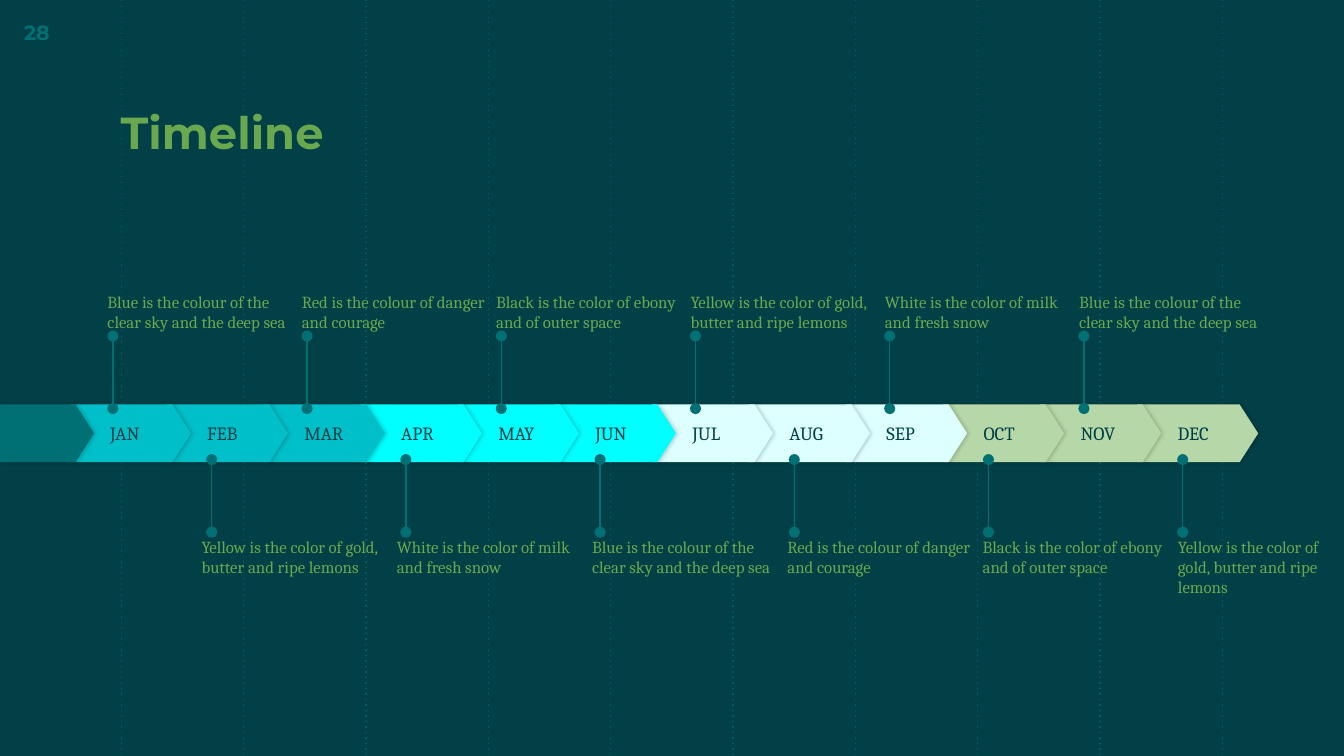
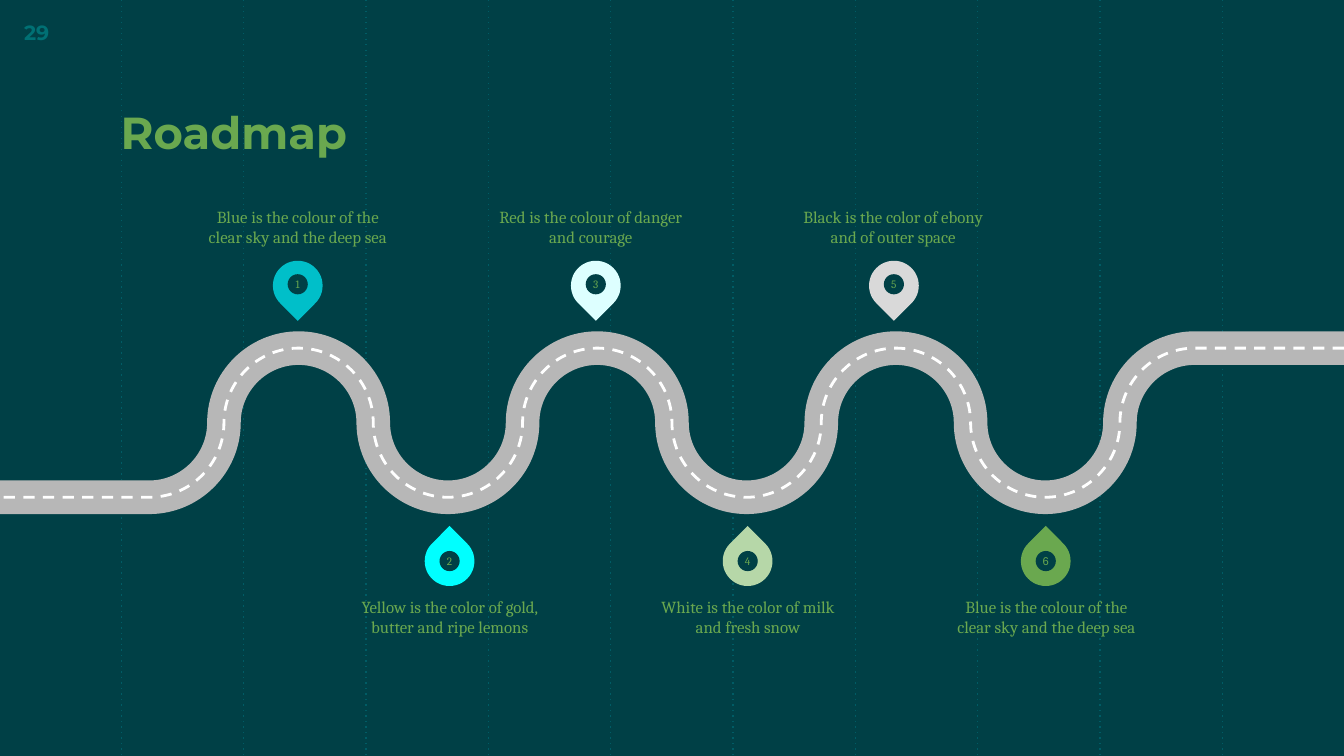
from dataclasses import dataclass

from lxml.etree import SubElement
from pptx import Presentation
from pptx.dml.color import RGBColor
from pptx.enum.shapes import MSO_CONNECTOR, MSO_SHAPE
from pptx.enum.text import MSO_ANCHOR, PP_ALIGN
from pptx.oxml.ns import qn
from pptx.util import Inches, Pt

W, H = Inches(10), Inches(5.625)
COLS, ROWS = 100, 56.25
UNIT = W / COLS
C = {
    "bg": "004046", "grid": "005C65", "teal": "007074", "green": "6AA84F",
    "sea": "00BFC9", "cyan": "00FFFF", "ice": "DDFFFF", "sage": "B6D7A8",
    "silver": "D9D9D9", "road": "B7B7B7", "white": "FFFFFF", "black": "000000",
}
HEAD, BODY = "Montserrat", "Cambria"
BLUE = "Blue is the colour of the clear sky and the deep sea"
RED = "Red is the colour of danger and courage"
BLACK = "Black is the color of ebony and of outer space"
YELLOW = "Yellow is the color of gold, butter and ripe lemons"
WHITE = "White is the color of milk and fresh snow"
MONTHS = ["JAN", "FEB", "MAR", "APR", "MAY", "JUN",
          "JUL", "AUG", "SEP", "OCT", "NOV", "DEC"]
QUARTERS = ["sea", "cyan", "ice", "sage"]
EVENTS_ABOVE = [BLUE, RED, BLACK, YELLOW, WHITE, BLUE]
EVENTS_BELOW = [YELLOW, WHITE, BLUE, RED, BLACK, YELLOW]
STOPS_ABOVE = [("1", "sea", BODY, BLUE, 15.1), ("3", "ice", BODY, RED, 36.9),
               ("5", "silver", BODY, BLACK, 59.4)]
STOPS_BELOW = [("2", "cyan", BODY, YELLOW, 26.4), ("4", "sage", BODY, WHITE, 48.6),
               ("6", "green", "Arial", BLUE, 70.8)]


@dataclass
class Box:
    x: float
    y: float
    w: float
    h: float

    def sub(self, x, y, w, h):
        return Box(self.x + x, self.y + y, w, h)

    def emu(self):
        return [round(v * UNIT) for v in (self.x, self.y, self.w, self.h)]


def rgb(name):
    return RGBColor.from_string(C[name])


def write(sp, text, size, color, font=BODY, bold=False, align=PP_ALIGN.LEFT,
          anchor=MSO_ANCHOR.TOP, insets=(0, 0, 0, 0)):
    tf = sp.text_frame
    tf.word_wrap = True
    tf.vertical_anchor = anchor
    tf.margin_left, tf.margin_top, tf.margin_right, tf.margin_bottom = map(Inches, insets)
    p = tf.paragraphs[0]
    p.text = text
    p.alignment = align
    p.font.size, p.font.name, p.font.bold = Pt(size), font, bold
    p.font.color.rgb = rgb(color)


def add_text(shapes, box, *args, **style):
    write(shapes.add_textbox(*box.emu()), *args, **style)


def add_filled(shapes, kind, box, color):
    sp = shapes.add_shape(kind, *box.emu())
    sp.shadow.inherit = False
    sp.fill.solid()
    sp.fill.fore_color.rgb = rgb(color)
    sp.line.fill.background()
    return sp


def style_line(sp, color, width, dash=None, ends=None):
    sp.line.color.rgb = rgb(color)
    sp.line.width = Pt(width)
    ln = sp._element.spPr.find(qn("a:ln"))
    if dash:
        SubElement(ln, qn("a:prstDash"), val=dash)
    if ends:
        for tag in ("a:headEnd", "a:tailEnd"):
            SubElement(ln, qn(tag), type=ends)


def add_line(shapes, x, y1, y2, color, **style):
    ends = [round(v * UNIT) for v in (x, y1, x, y2)]
    sp = shapes.add_connector(MSO_CONNECTOR.STRAIGHT, *ends)
    style_line(sp, color, 0.75, **style)
    SubElement(sp._element.spPr, qn("a:effectLst"))


def cast_shadow(sp):
    effects = sp._element.spPr.find(qn("a:effectLst"))
    shadow = SubElement(effects, qn("a:outerShdw"), blurRad=str(Pt(2.2)),
                        dist=str(Pt(0.8)), dir="0", algn="bl", rotWithShape="0")
    tint = SubElement(shadow, qn("a:srgbClr"), val=C["black"])
    SubElement(tint, qn("a:alpha"), val="20000")


def base_slide(prs, title, number):
    s = prs.slides.add_slide(prs.slide_layouts[6])
    for i in range(10):
        add_line(s.shapes, 9.04 + 9.1 * i, 0, ROWS, "grid", dash="dot")
    add_text(s.shapes, Box(8, 5.2, 64.7, 7.6), title, 24, "green", font=HEAD, bold=True,
             anchor=MSO_ANCHOR.BOTTOM, insets=(0.1, 0.1, 0.1, 0.1))
    add_text(s.shapes, Box(1.8, 1, 6, 2.8), number, 11, "teal", font=HEAD, bold=True,
             anchor=MSO_ANCHOR.MIDDLE)
    return s


def month_band(s, box):
    def arrow(x, w, color):
        sp = add_filled(s.shapes, MSO_SHAPE.PENTAGON, box.sub(x, 0, w, box.h), color)
        sp.adjustments[0] = 0.32
        cast_shadow(sp)
        return sp

    for i, month in reversed(list(enumerate(MONTHS))):
        sp = arrow(5.2 + 7.22 * i, 9, QUARTERS[i // 3])
        write(sp, month, 10, "bg", anchor=MSO_ANCHOR.MIDDLE, insets=(0.3, 0, 0, 0))
    arrow(0, 7, "teal")


def event_row(s, box, events, label_x, label_step, pin_x, pin_y, label_y, anchor):
    for i, event in enumerate(events):
        x = pin_x + 14.45 * i
        add_line(s.shapes, box.x + x, box.y + pin_y, box.y + pin_y + 5.4, "teal", ends="oval")
        left = label_x + label_step * i
        label = box.sub(left, label_y, min(13.7, box.w - left), 5.8)
        add_text(s.shapes, label, event, 9, "green", anchor=anchor)


def timeline(s, box):
    month_band(s, box.sub(0, 11.2, box.w, 4.3))
    event_row(s, box, EVENTS_ABOVE, 8, 14.46, 8.4, 6.1, 0, MSO_ANCHOR.BOTTOM)
    event_row(s, box, EVENTS_BELOW, 15, 14.53, 15.75, 15.3, 21, MSO_ANCHOR.TOP)


def curve_bends(sp):
    pts = sp._element.findall(".//" + qn("a:pt"))
    xy = [(int(pt.get("x")), int(pt.get("y"))) for pt in pts]
    for i in range(2, len(pts) - 1):
        (x1, y1), (x2, y2) = xy[i - 1], xy[i]
        corner = (x2, y1) if i % 2 == 0 else (x1, y2)
        seg = pts[i].getparent()
        seg.tag = qn("a:cubicBezTo")
        seg.remove(pts[i])
        for x, y in ((x1, y1), (x2, y2)):
            SubElement(seg, qn("a:pt"), x=str(round(x + 0.55 * (corner[0] - x))),
                       y=str(round(y + 0.55 * (corner[1] - y))))
        seg.append(pts[i])


def road(s, box, color, width, dash=None):
    step, rise = box.w / 18, box.h / 2
    levels = [0, 1, 2, 1]
    nodes = [(18, 0)] + [(16 - i, levels[i % 4]) for i in range(15)] + [(0, 2)]
    pts = [(round((box.x + n * step) * UNIT), round((box.y + v * rise) * UNIT))
           for n, v in nodes]
    fb = s.shapes.build_freeform(*pts[0], scale=1.0)
    fb.add_line_segments(pts[1:], close=False)
    sp = fb.convert_to_shape()
    curve_bends(sp)
    sp.shadow.inherit = False
    sp.fill.background()
    style_line(sp, color, width, dash=dash)


def stop_row(s, box, stops, pin_x, pin_y, turn, dot_y, label_y, anchor):
    for i, (number, color, font, label, label_x) in enumerate(stops):
        pin = box.sub(pin_x + 22.18 * i, pin_y, 3.7, 3.7)
        group = s.shapes.add_group_shape()
        drop = add_filled(group.shapes, MSO_SHAPE.TEAR, pin, color)
        drop.rotation = turn
        dot = add_filled(group.shapes, MSO_SHAPE.OVAL, pin.sub(1.1, dot_y, 1.5, 1.5), "bg")
        write(dot, number, 6, "green", font=font, align=PP_ALIGN.CENTER,
              anchor=MSO_ANCHOR.MIDDLE)
        add_text(s.shapes, box.sub(label_x, label_y, 14.1, 5.8), label, 9, "green",
                 align=PP_ALIGN.CENTER, anchor=anchor)


def roadmap(s, box):
    lane = box.sub(0, 13.3, box.w, 11.1)
    road(s, lane, "road", 18)
    road(s, lane, "white", 1.5, dash="dash")
    stop_row(s, box, STOPS_ABOVE, 20.3, 6.8, 135, 1, 0, MSO_ANCHOR.BOTTOM)
    stop_row(s, box, STOPS_BELOW, 31.6, 27.3, 315, 1.1, 31.8, MSO_ANCHOR.TOP)


def main():
    prs = Presentation()
    prs.slide_width, prs.slide_height = W, H
    fill = prs.slide_master.background.fill
    fill.solid()
    fill.fore_color.rgb = rgb("bg")
    timeline(base_slide(prs, "Timeline", "28"), Box(0, 18.9, 98.9, 26.8))
    roadmap(base_slide(prs, "Roadmap", "29"), Box(0, 12.6, COLS, 37.6))
    prs.save("out.pptx")


if __name__ == "__main__":
    main()
